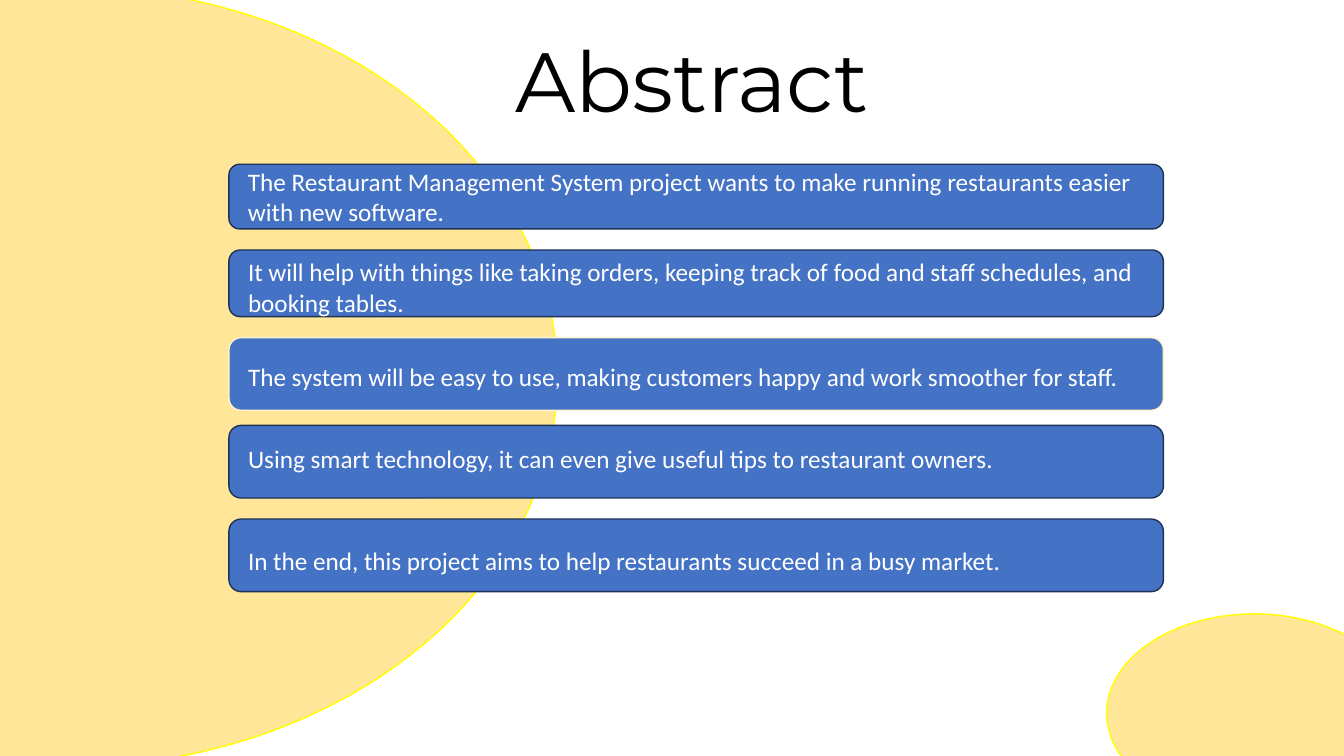
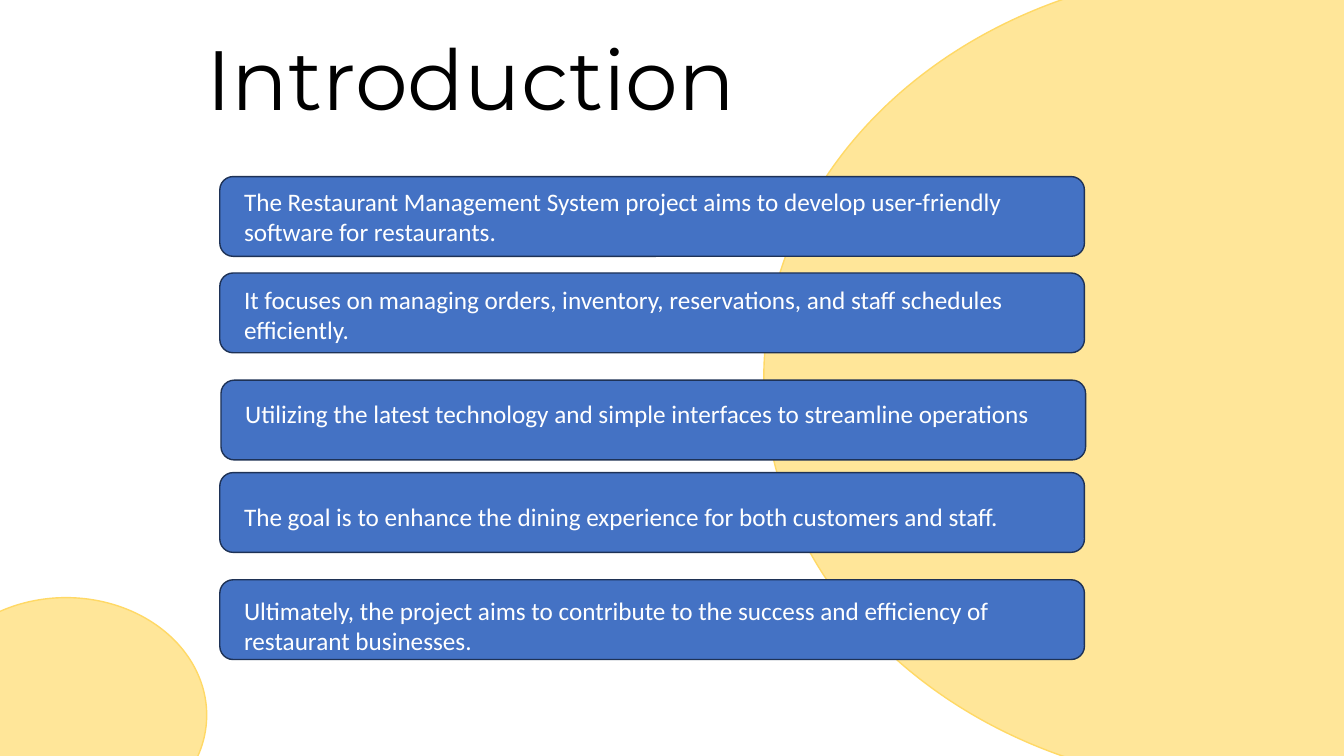
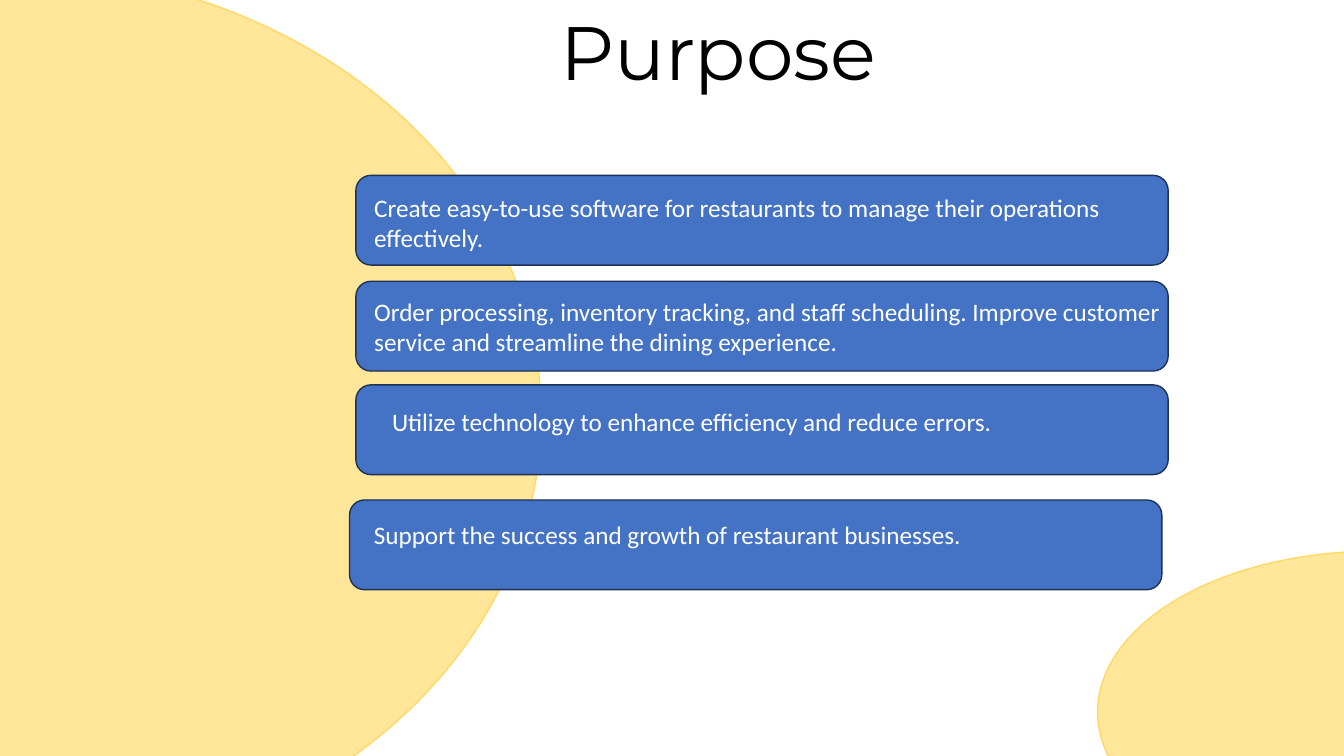
"""Builds three restaurant-system slides with rounded text cards."""
from dataclasses import dataclass

from pptx import Presentation
from pptx.dml.color import RGBColor
from pptx.enum.shapes import MSO_SHAPE as Preset
from pptx.enum.text import MSO_ANCHOR as Anchor, MSO_AUTO_SIZE as AutoSize, PP_ALIGN as Align
from pptx.presentation import Presentation as Deck
from pptx.shapes.autoshape import Shape
from pptx.slide import Slide
from pptx.text.text import TextFrame
from pptx.util import Cm, Pt


@dataclass(frozen=True)
class Theme:
    title_font: str = "Montserrat"
    body_font: str = "Calibri"
    title_size: int = 60
    small_title_size: int = 54
    body_size: int = 18
    line_width: int = 1
    ink: str = "000000"
    paper: str = "FFFFFF"
    card_fill: str = "4472C4"
    card_line: str = "1E3256"
    pale_line: str = "FFF2CC"
    disc_fill: str = "FFE699"
    disc_line: str = "FFD966"
    bright_line: str = "FFFF00"


THEME = Theme()
BEVEL = 0.29 / 6


@dataclass(frozen=True)
class Area:
    left: float
    top: float
    width: float
    height: float


@dataclass(frozen=True)
class Card:
    text: str
    top: float
    height: float
    text_drop: float = 0
    shift: float = 0
    extra_pad: float = 0
    line: str = THEME.card_line


@dataclass(frozen=True)
class Page:
    title: str
    title_area: Area
    discs: tuple[Area, ...]
    card_left: float
    card_width: float
    left_pad: float
    right_pad: float
    cards: tuple[Card, ...]
    title_align: Align = Align.CENTER
    title_size: int = THEME.title_size
    disc_line: str = THEME.disc_line


PAGES = (
    Page(
        title="Abstract",
        title_area=Area(12.73, 0.58, 12.67, 2.82),
        title_align=Align.LEFT,
        discs=(Area(-10.77, -0.33, 24.82, 19.66), Area(27.89, 15.47, 7.44, 5)),
        disc_line=THEME.bright_line,
        card_left=5.77,
        card_width=23.55,
        left_pad=0.48,
        right_pad=0.45,
        cards=(
            Card("The Restaurant Management System project wants to make running "
                 "restaurants easier with new software.", 4.14, 1.63),
            Card("It will help with things like taking orders, keeping track of food "
                 "and staff schedules, and booking tables.", 6.3, 1.68, 0.09),
            Card("The system will be easy to use, making customers happy and work "
                 "smoother for staff.", 8.51, 1.83, 0.05, line=THEME.pale_line),
            Card("Using smart technology, it can even give useful tips to restaurant "
                 "owners.", 10.72, 1.83, -0.08),
            Card("In the end, this project aims to help restaurants succeed in a busy "
                 "market.", 13.08, 1.83, 0.13),
        ),
    ),
    Page(
        title="Introduction",
        title_area=Area(3.38, 0.53, 16.97, 2.82),
        discs=(Area(19.25, -0.79, 24.33, 20.62), Area(-1.88, 15.06, 7.09, 5.92)),
        card_left=5.54,
        card_width=21.79,
        left_pad=0.61,
        right_pad=0.5,
        cards=(
            Card("The Restaurant Management System project aims to develop "
                 "user-friendly software for restaurants.", 4.45, 2.01),
            Card("It focuses on managing orders, inventory, reservations, and staff "
                 "schedules efficiently.", 6.88, 2.01, 0.03),
            Card("Utilizing the latest technology and simple interfaces to streamline "
                 "operations", 9.58, 2.01, -0.17, shift=0.03),
            Card("The goal is to enhance the dining experience for both customers and "
                 "staff.", 11.91, 2.01, 0.09),
            Card("Ultimately, the project aims to contribute to the success and "
                 "efficiency of restaurant businesses.", 14.61, 2.01, 0.15),
        ),
    ),
    Page(
        title="Purpose",
        title_area=Area(9.63, 0, 16.94, 2.57),
        title_size=THEME.small_title_size,
        discs=(Area(-13.64, -0.79, 27.28, 22.58), Area(27.66, 13.89, 13.97, 8.1)),
        card_left=8.97,
        card_width=20.47,
        left_pad=0.46,
        right_pad=0,
        cards=(
            Card("Create easy-to-use software for restaurants to manage their "
                 "operations effectively.", 4.42, 2.26, 0.05),
            Card("Order processing, inventory tracking, and staff scheduling. Improve "
                 "customer service and streamline the dining experience.", 7.09, 2.26),
            Card("Utilize technology to enhance efficiency and reduce errors.",
                 9.7, 2.26, -0.22, extra_pad=0.45),
            Card("Support the success and growth of restaurant businesses.",
                 12.6, 2.26, -0.27, shift=-0.16, extra_pad=0.15),
        ),
    ),
)


def write(frame: TextFrame, text: str, font: str, size: int, color: str, align: Align) -> None:
    frame.word_wrap = True
    frame.auto_size = AutoSize.NONE
    para = frame.paragraphs[0]
    para.alignment = align
    span = para.add_run()
    span.text = text
    span.font.name = font
    span.font.size = Pt(size)
    span.font.color.rgb = RGBColor.from_string(color)


def draw_shape(slide: Slide, preset: Preset, area: Area, fill: str, line: str) -> Shape:
    shape = slide.shapes.add_shape(
        preset, Cm(area.left), Cm(area.top), Cm(area.width), Cm(area.height))
    shape.shadow.inherit = False
    shape.fill.solid()
    shape.fill.fore_color.rgb = RGBColor.from_string(fill)
    shape.line.color.rgb = RGBColor.from_string(line)
    shape.line.width = Pt(THEME.line_width)
    return shape


def draw_title(slide: Slide, page: Page) -> None:
    box = slide.shapes.title
    area = page.title_area
    box.left, box.top = Cm(area.left), Cm(area.top)
    box.width, box.height = Cm(area.width), Cm(area.height)
    box.text_frame.vertical_anchor = Anchor.TOP
    write(box.text_frame, page.title, THEME.title_font, page.title_size,
          THEME.ink, page.title_align)


def draw_card(slide: Slide, page: Page, card: Card) -> None:
    area = Area(page.card_left + card.shift, card.top, page.card_width, card.height)
    box = draw_shape(slide, Preset.ROUNDED_RECTANGLE, area, THEME.card_fill, card.line)
    frame = box.text_frame
    bevel = BEVEL * card.height
    frame.margin_left = Cm(page.left_pad + card.extra_pad - bevel)
    frame.margin_right = Cm(max(page.right_pad - bevel, 0))
    frame.margin_top = Cm(max(2 * card.text_drop, 0))
    frame.margin_bottom = Cm(max(-2 * card.text_drop, 0))
    frame.vertical_anchor = Anchor.MIDDLE
    write(frame, card.text, THEME.body_font, THEME.body_size, THEME.paper, Align.LEFT)


def draw_page(deck: Deck, page: Page) -> None:
    slide = deck.slides.add_slide(deck.slide_layouts[5])
    draw_title(slide, page)
    for disc in page.discs:
        draw_shape(slide, Preset.OVAL, disc, THEME.disc_fill, page.disc_line)
    for card in page.cards:
        draw_card(slide, page, card)


def main() -> None:
    deck = Presentation()
    deck.slide_width, deck.slide_height = Cm(33.87), Cm(19.05)
    for page in PAGES:
        draw_page(deck, page)
    deck.save("out.pptx")


if __name__ == "__main__":
    main()
